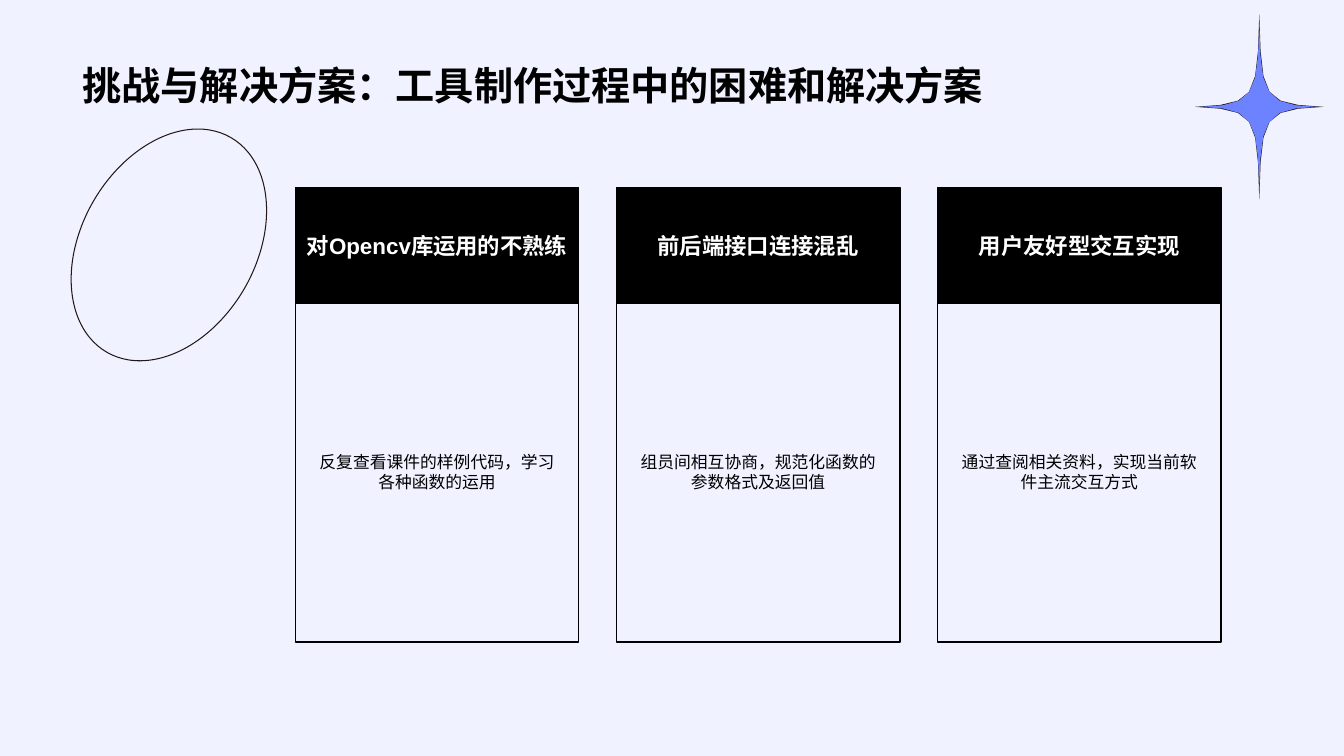
from dataclasses import dataclass

from pptx import Presentation
from pptx.dml.color import RGBColor
from pptx.enum import shapes, text
from pptx.util import Inches, Pt

BACKGROUND = RGBColor(0xF0, 0xF2, 0xFF)
BLACK = RGBColor(0x00, 0x00, 0x00)
WHITE = RGBColor(0xFF, 0xFF, 0xFF)
OUTLINE = RGBColor(0x23, 0x18, 0x15)
BLUE = RGBColor(0x6D, 0x82, 0xFF)

FONT = "Arial"
TITLE = {"name": FONT, "size": Pt(28), "bold": True}
HEADING = {"name": FONT, "size": Pt(16), "bold": True}
BODY = {"name": FONT, "size": Pt(12), "bold": False}

CARD_LEFT, CARD_RIGHT, CARD_W = 2.93, 9.3, 2.81
HEAD_TOP, HEAD_H = 1.86, 1.15
BODY_TOP, BODY_H = 2.99, 3.38

Point = tuple[float, float]
Curve = tuple[Point, Point, Point, Point]

STAR_CENTER = (12.49, 1.06)
# Upper right quarter of each star, measured from its centre
STAR_EDGE: list[Curve] = [((0, -0.92), (0.02, -0.06), (0.04, -0.03), (0.64, 0))]
STAR_FACE: list[Curve] = [
    ((0, -0.81), (0.01, -0.45), (0.02, -0.26), (0.1, -0.15)),
    ((0.1, -0.15), (0.18, -0.03), (0.32, -0.01), (0.58, 0)),
]


@dataclass
class Card:
    heading: str
    body: str


CARDS = [
    Card("对Opencv库运用的不熟练", "反复查看课件的样例代码，学习各种函数的运用"),
    Card("前后端接口连接混乱", "组员间相互协商，规范化函数的参数格式及返回值"),
    Card("用户友好型交互实现", "通过查阅相关资料，实现当前软件主流交互方式"),
]


def write(sp, content: str, fmt: dict, color: RGBColor, align, anchor,
          wrap: bool = True, side: float = 0.1) -> None:
    tf = sp.text_frame
    frame = {"word_wrap": wrap, "vertical_anchor": anchor,
             "margin_left": Inches(side), "margin_right": Inches(side)}
    for key, value in frame.items():
        setattr(tf, key, value)
    p = tf.paragraphs[0]
    p.alignment = align
    r = p.add_run()
    r.text = content
    for key, value in fmt.items():
        setattr(r.font, key, value)
    r.font.color.rgb = color


def add_outlined(s, kind, left: float, top: float, width: float, height: float,
                 line: RGBColor, weight: float, fill: RGBColor | None = None):
    sp = s.shapes.add_shape(kind, Inches(left), Inches(top), Inches(width), Inches(height))
    sp.shadow.inherit = False
    if fill is None:
        sp.fill.background()
    else:
        sp.fill.solid()
        sp.fill.fore_color.rgb = fill
    sp.line.color.rgb = line
    sp.line.width = Pt(weight)
    return sp


def add_card(s, card: Card, left: float) -> None:
    rect = shapes.MSO_SHAPE.RECTANGLE
    center, middle = text.PP_ALIGN.CENTER, text.MSO_ANCHOR.MIDDLE
    sp = add_outlined(s, rect, left, BODY_TOP, CARD_W, BODY_H, BLACK, 1)
    write(sp, card.body, BODY, BLACK, center, middle, side=0.2)
    sp = add_outlined(s, rect, left, HEAD_TOP, CARD_W, HEAD_H, BLACK, 1, BLACK)
    write(sp, card.heading, HEADING, WHITE, center, middle, wrap=False)


def curve_points(curve: Curve, steps: int) -> list[Point]:
    """Points along a cubic curve, without its last one."""
    points = []
    for i in range(steps):
        t = i / steps
        weights = ((1 - t) ** 3, 3 * t * (1 - t) ** 2, 3 * t ** 2 * (1 - t), t ** 3)
        x, y = (sum(w * pt[axis] for w, pt in zip(weights, curve)) for axis in (0, 1))
        points.append((x, y))
    return points


def add_star(s, quarter: list[Curve], steps: int, fill: RGBColor) -> None:
    arm = [pt for curve in quarter for pt in curve_points(curve, steps)]
    right = arm + [quarter[-1][-1]] + [(x, -y) for x, y in reversed(arm)]
    whole = right + [(-x, y) for x, y in reversed(right[1:-1])]
    cx, cy = STAR_CENTER
    points = [(Inches(cx + x), Inches(cy + y)) for x, y in whole]
    builder = s.shapes.build_freeform(*points[0])
    builder.add_line_segments(points[1:], close=True)
    sp = builder.convert_to_shape()
    sp.shadow.inherit = False
    sp.fill.solid()
    sp.fill.fore_color.rgb = fill
    sp.line.fill.background()


def main() -> None:
    prs = Presentation()
    prs.slide_width, prs.slide_height = Inches(13.33), Inches(7.5)
    s = prs.slides.add_slide(prs.slide_layouts[6])
    s.background.fill.solid()
    s.background.fill.fore_color.rgb = BACKGROUND

    # Tilted ring
    ring = add_outlined(s, shapes.MSO_SHAPE.OVAL, 0.81, 1.2, 1.73, 2.46, OUTLINE, 0.75)
    ring.rotation = 30

    # Star: dark edge under a blue face
    add_star(s, STAR_EDGE, 6, OUTLINE)
    add_star(s, STAR_FACE, 3, BLUE)

    # Title
    title = s.shapes.add_textbox(Inches(0.72), Inches(0.14), Inches(11.88), Inches(0.98))
    write(title, "挑战与解决方案：工具制作过程中的困难和解决方案", TITLE, BLACK,
          text.PP_ALIGN.LEFT, text.MSO_ANCHOR.BOTTOM)

    # Cards
    step = (CARD_RIGHT - CARD_LEFT) / (len(CARDS) - 1)
    for i, card in enumerate(CARDS):
        add_card(s, card, CARD_LEFT + i * step)

    prs.save("out.pptx")


if __name__ == "__main__":
    main()
